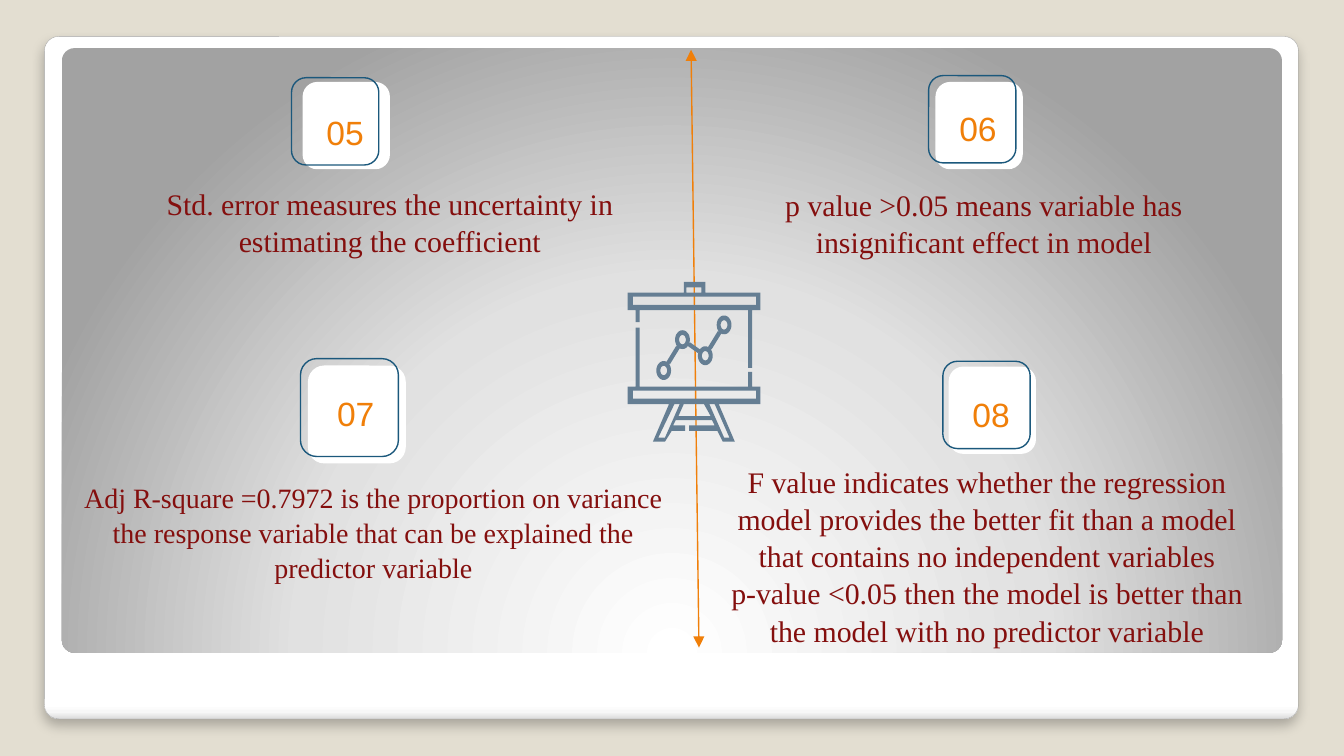
from math import cos, hypot, pi, sin

from pptx import Presentation
from pptx.dml.color import RGBColor
from pptx.enum.shapes import MSO_CONNECTOR, MSO_SHAPE
from pptx.enum.text import PP_ALIGN
from pptx.oxml import parse_xml
from pptx.oxml.ns import nsdecls
from pptx.oxml.xmlchemy import OxmlElement
from pptx.util import Cm, Pt

BACK, WHITE, EDGE = "E3DED1", "FFFFFF", "A4A4A4"
RED, ORANGE, NAVY, SLATE = "840F0E", "F07F09", "1B587C", "657E93"


def rgb(value):
    return RGBColor.from_string(value)


def paint(sp, fill=None, line=None, width=0.75):
    sp.shadow.inherit = False
    if fill:
        sp.fill.solid()
        sp.fill.fore_color.rgb = rgb(fill)
    else:
        sp.fill.background()
    if line:
        sp.line.color.rgb = rgb(line)
        sp.line.width = Pt(width)
    else:
        sp.line.fill.background()


def rounded(s, box, adj, **style):
    sp = s.shapes.add_shape(MSO_SHAPE.ROUNDED_RECTANGLE, *map(Cm, box))
    sp.adjustments[0] = adj
    paint(sp, **style)
    return sp


def gradient(sp, stops, direction):
    sp.fill.background()
    stop_xml = "".join(
        f'<a:gs pos="{pos * 1000}"><a:srgbClr val="{rgb(color)}"/></a:gs>'
        for pos, color in stops)
    fill = parse_xml(f'<a:gradFill {nsdecls("a")} rotWithShape="1">'
                     f'<a:gsLst>{stop_xml}</a:gsLst>{direction}</a:gradFill>')
    spPr = sp._element.spPr
    spPr.replace(spPr.find("{*}noFill"), fill)


def frame(s, box):
    sp = rounded(s, box, 0.021, line=EDGE, width=0.16)
    gradient(sp, [(0, WHITE), (98, WHITE), (99, "F7F7F7"), (100, "DADADA")],
             '<a:lin ang="5400000" scaled="0"/>')
    effects = sp._element.spPr.find("{*}effectLst")
    effects.append(parse_xml(
        f'<a:outerShdw {nsdecls("a")} blurRad="{Pt(6)}" dist="{Pt(4)}" dir="5400000" '
        'rotWithShape="0"><a:srgbClr val="000000"><a:alpha val="25000"/>'
        '</a:srgbClr></a:outerShdw>'))


def panel(s, box):
    sp = rounded(s, box, 0.021)
    gradient(sp, [(0, WHITE), (55, "E1E1E1"), (100, "A2A2A2")],
             '<a:path path="circle"><a:fillToRect l="50000" t="175000" '
             'r="50000" b="-75000"/></a:path>')


def text(s, box, words, inset, para, font, color):
    tf = s.shapes.add_textbox(*map(Cm, box)).text_frame
    tf.word_wrap = True
    tf.margin_top = tf.margin_bottom = Cm(inset)
    p = tf.paragraphs[0]
    p.text = words
    for name, value in para.items():
        setattr(p, name, value)
    for r in p.runs:
        for name, value in font.items():
            setattr(r.font, name, value)
        r.font.color.rgb = rgb(color)


def badge(s, box, number, shift, label):
    x, y, side = box
    rounded(s, (x, y, side, side), 0.167, fill=WHITE)
    rounded(s, (x - shift[0], y - shift[1], side, side), 0.167, line=NAVY)
    text(s, (x + label[0], y + label[1], 2.87, 1.02), number, 0.13, {},
         {"size": Pt(18), "name": "Arial"}, ORANGE)


def note(s, box, words, size):
    text(s, box, words, 0.25,
         {"alignment": PP_ALIGN.CENTER, "space_after": Pt(16), "line_spacing": 1.04},
         {"size": Pt(size), "name": "Times New Roman"}, RED)


def divider(s, start, end):
    line = s.shapes.add_connector(MSO_CONNECTOR.STRAIGHT, *map(Cm, start + end))
    line.line.color.rgb = rgb(ORANGE)
    line.line.width = Pt(0.75)
    for tag in ("a:headEnd", "a:tailEnd"):
        arrow = OxmlElement(tag)
        arrow.set("type", "triangle")
        line.line._get_or_add_ln().append(arrow)
    line._element.spPr.append(OxmlElement("a:effectLst"))


def outline(s, box, contours):
    x, y, width = box
    fine = [[(a * 10, b * 10) for a, b in points] for points in contours]
    pen = s.shapes.build_freeform(*fine[0][0], scale=Cm(width) / 990)
    for points in fine:
        pen.move_to(*points[0])
        pen.add_line_segments(points[1:], close=True)
    paint(pen.convert_to_shape(Cm(x), Cm(y)), fill=SLATE)


def ellipse(center, rx, ry, steps=32):
    return [(center[0] + rx * cos(2 * pi * i / steps),
             center[1] + ry * sin(2 * pi * i / steps)) for i in range(steps)]


def link(start, end, rx, ry, half=1.6):
    dx, dy = end[0] - start[0], end[1] - start[1]
    trim = 1 / hypot(dx / rx, dy / ry)
    nx, ny = -dy * half / hypot(dx, dy), dx * half / hypot(dx, dy)
    return [(start[0] + t * dx + side * nx, start[1] + t * dy + side * ny)
            for t, side in ((trim, 1), (1 - trim, 1), (1 - trim, -1), (trim, -1))]


def easel(s, box):
    outline(s, box, [
        [(42, 0), (42, 8), (0, 8), (0, 21), (6, 21), (6, 30), (9, 30), (9, 21),
         (90, 21), (90, 64), (93, 64), (93, 21), (99, 21), (99, 8), (58, 8), (58, 0)],
        [(55, 4), (55, 8), (44, 8), (44, 4)],
        [(96, 11), (96, 17), (4, 17), (4, 11)]])
    outline(s, box, [
        [(6, 34), (6, 78), (0, 78), (0, 91), (31, 91), (19, 119), (28, 119), (33, 111),
         (43, 111), (43, 107), (34, 107), (36, 103), (63, 103), (65, 107), (46, 107),
         (46, 111), (67, 111), (71, 119), (80, 119), (68, 91), (99, 91), (99, 78),
         (93, 78), (93, 67), (90, 67), (90, 78), (9, 78), (9, 34)],
        [(96, 81), (96, 87), (4, 87), (4, 81)],
        [(57, 91), (62, 100), (38, 100), (42, 91)],
        [(39, 91), (28, 116), (23, 116), (35, 91)],
        [(65, 91), (76, 116), (72, 116), (61, 91)]])
    dots = [(27, 66), (41, 43), (58, 55), (72, 32)]
    rings = [ellipse(dot, *radii) for dot in dots for radii in ((5.5, 7), (2.5, 3.5))]
    links = [link(a, b, 5.5, 7) for a, b in zip(dots, dots[1:])]
    outline(s, box, rings + links)


def main():
    prs = Presentation()
    prs.slide_width, prs.slide_height = Cm(25.4), Cm(14.29)
    s = prs.slides.add_slide(prs.slide_layouts[6])
    s.background.fill.solid()
    s.background.fill.fore_color.rgb = rgb(BACK)
    frame(s, (0.84, 0.69, 23.7, 12.9))
    panel(s, (1.17, 0.91, 23.06, 11.43))

    cards = [
        ("05", (5.72, 1.55, 1.65), (0.21, 0.08), (0.2, 0.43), (1.68, 3.23, 11.38, 2.18), 16,
         "Std. error measures the uncertainty in estimating the coefficient"),
        ("06", (17.68, 1.55, 1.65), (0.13, 0.12), (0.2, 0.36), (14.25, 3.25, 8.69, 0.97), 16,
         "p value >0.05 means variable has insignificant effect in model"),
        ("07", (5.82, 6.91, 1.85), (0.14, 0.13), (0.3, 0.38), (1.09, 8.81, 11.94, 2.82), 15,
         "Adj R-square =0.7972 is the proportion on variance the response variable "
         "that can be explained the predictor variable"),
        ("08", (17.93, 6.93, 1.65), (0.11, 0.1), (0.2, 0.39), (13.51, 8.48, 10.29, 4.62), 16,
         "F value indicates whether the regression model provides the better fit than "
         "a model that contains no independent variables\vp-value <0.05 then the model "
         "is better than the model with no predictor variable"),
    ]
    for number, badge_box, shift, label, note_box, size, words in cards:
        note(s, note_box, words, size)
        badge(s, badge_box, number, shift, label)

    divider(s, (13.21, 12.24), (13.06, 0.94))
    easel(s, (11.86, 5.33, 2.51))
    prs.save("out.pptx")


if __name__ == "__main__":
    main()
